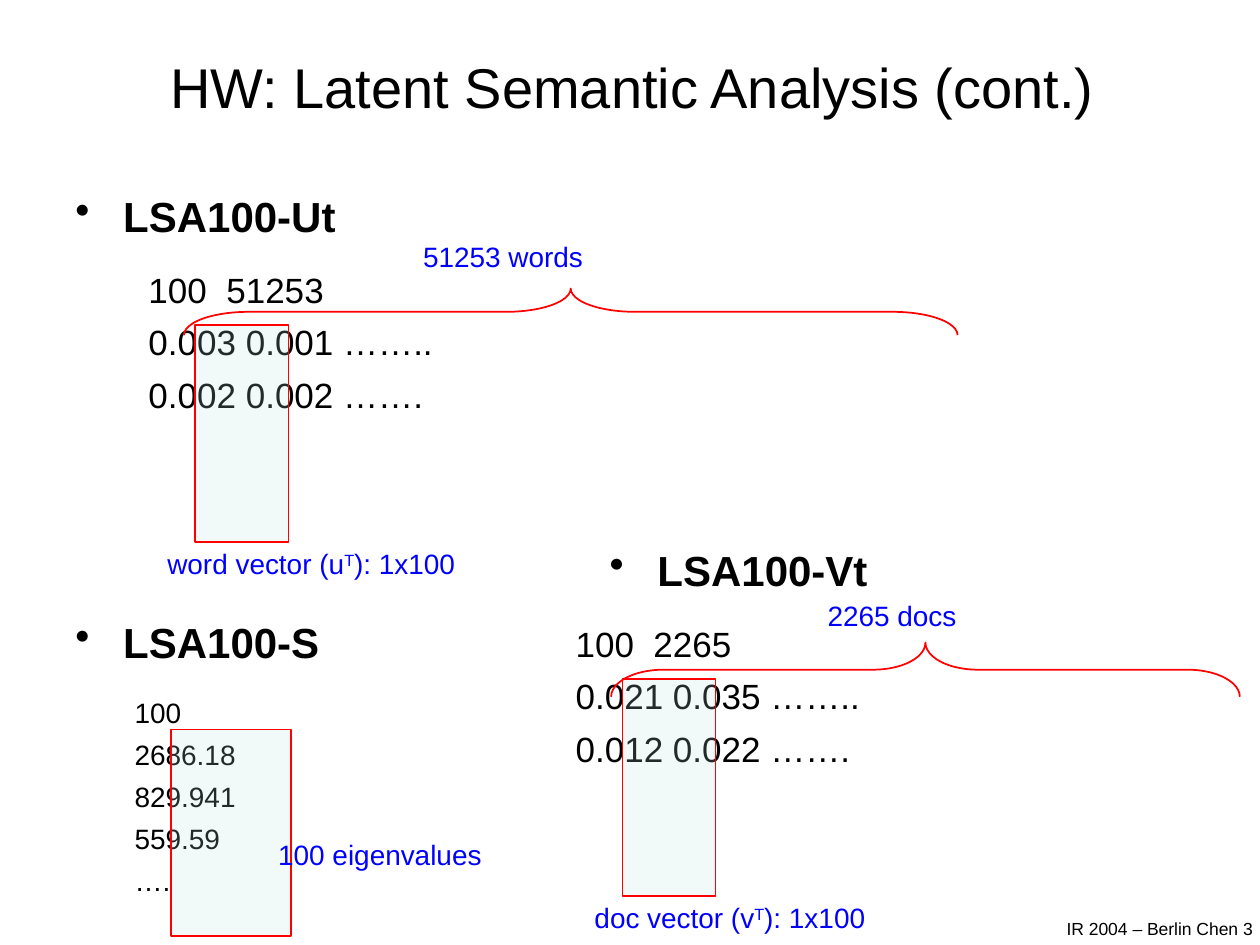
from lxml import etree
from pptx import Presentation
from pptx.dml.color import RGBColor
from pptx.enum.shapes import MSO_SHAPE
from pptx.enum.text import MSO_ANCHOR, PP_ALIGN
from pptx.oxml.ns import qn
from pptx.util import Inches, Pt

RECT, BRACE = MSO_SHAPE.RECTANGLE, MSO_SHAPE.RIGHT_BRACE
LEFT, CENTER, RIGHT = PP_ALIGN.LEFT, PP_ALIGN.CENTER, PP_ALIGN.RIGHT
TOP, MIDDLE = MSO_ANCHOR.TOP, MSO_ANCHOR.MIDDLE
BLACK, BLUE, RED, PALE = "000000", "0000FF", "FF0000", "BBE0E3"

# Content: a line is a string, or a list of (text, superscript) runs
TITLE = "HW: Latent Semantic Analysis (cont.)"
FOOTER = "IR 2004 – Berlin Chen 3"
MATRICES = [
    {"origin": (1.08, 2.08), "heading": "LSA100-Ut", "heading_at": (0.5, 1.46),
     "rows": ["100  51253", "0.003 0.001 ……..", "0.002 0.002 ……."],
     "vector": [("word vector (u", False), ("T", True), ("): 1x100", False)],
     "brace": (6.14, 0.37), "count": "51253 words", "count_at": (3.26, 1.85)},
    {"origin": (4.47, 4.89), "heading": "LSA100-Vt", "heading_at": (4.74, 4.27),
     "rows": ["100  2265", "0.021 0.035 ……..", "0.012 0.022 ……."],
     "vector": [("doc vector (v", False), ("T", True), ("): 1x100", False)],
     "brace": (4.99, 0.43), "count": "2265 docs", "count_at": (6.47, 4.7)},
]
EIGEN_HEADING = "LSA100-S"
EIGENVALUES = ["100", "2686.18", "829.941", "559.59", "…."]
EIGEN_LABEL = "100 eigenvalues"

# Text formats
HEADING = {"size": Pt(24), "bold": True}
ROWS = {"size": Pt(20)}
SMALL = {"size": Pt(16)}
LABEL = {"size": Pt(16), "color": BLUE}


def rgb(value):
    return RGBColor.from_string(value)


def add_text(s, lines, x, y, w, h, fmt, align=LEFT, anchor=TOP, gap=0, bullet=False):
    tf = s.shapes.add_textbox(*map(Inches, (x, y, w, h))).text_frame
    tf.word_wrap = True
    tf.vertical_anchor = anchor
    for i, line in enumerate(lines):
        p = tf.paragraphs[0] if i == 0 else tf.add_paragraph()
        p.alignment = align
        if i:
            p.space_before = Pt(gap)
        if bullet:
            pPr = p._p.get_or_add_pPr()
            pPr.set("marL", str(Inches(0.38)))
            pPr.set("indent", str(-Inches(0.38)))
            etree.SubElement(pPr, qn("a:buChar")).set("char", "•")
        for text, raised in [(line, False)] if isinstance(line, str) else line:
            r = p.add_run()
            r.text = text
            r.font.name = "Arial"
            r.font.color.rgb = rgb(fmt.get("color", BLACK))
            for name in fmt.keys() - {"color"}:
                setattr(r.font, name, fmt[name])
            if raised:
                r._r.get_or_add_rPr().set("baseline", "30000")


def add_outline(s, kind, x, y, w, h):
    sp = s.shapes.add_shape(kind, *map(Inches, (x, y, w, h)))
    sp.shadow.inherit = False
    sp.line.color.rgb = rgb(RED)
    sp.line.width = Pt(1)
    return sp


def add_highlight(s, x, y, w, h):
    sp = add_outline(s, RECT, x, y, w, h)
    sp.fill.solid()
    sp.fill.fore_color.rgb = rgb(PALE)
    color = sp._element.spPr.find(qn("a:solidFill"))[0]
    etree.SubElement(color, qn("a:alpha")).set("val", "19000")


def add_top_brace(s, x, y, length, depth):
    # A right brace turned to point up, around the centre of its span
    sp = add_outline(s, BRACE, x + (length - depth) / 2, y + (depth - length) / 2,
                     depth, length)
    sp.rotation = 270
    sp.fill.background()
    sp.adjustments[0] = length / 12 / depth


def add_heading(s, text, x, y):
    add_text(s, [text], x, y, 4, 0.5, HEADING, bullet=True)


def add_matrix(s, m):
    x, y = m["origin"]
    add_heading(s, m["heading"], *m["heading_at"])
    add_text(s, m["rows"], x, y, 3.21, 1.64, ROWS, gap=6)
    add_highlight(s, x + 0.47, y + 0.5, 0.74, 1.72)
    add_text(s, [m["vector"]], x + 0.15, y + 2.21, 3.2, 0.37, LABEL)
    add_top_brace(s, x + 0.38, y + 0.21, *m["brace"])
    add_text(s, [m["count"]], *m["count_at"], 2.2, 0.37, LABEL)


def main():
    prs = Presentation()
    prs.slide_width, prs.slide_height = Inches(10), Inches(7.5)
    s = prs.slides.add_slide(prs.slide_layouts[6])

    # Footer and title
    add_text(s, [FOOTER], 7.71, 7.24, 2.33, 0.26, {"size": Pt(10)}, align=RIGHT)
    add_text(s, [TITLE], 0.52, 0.17, 9, 1.02, {"size": Pt(32)}, CENTER, MIDDLE)

    # Word and document matrices
    for m in MATRICES:
        add_matrix(s, m)

    # Eigenvalues
    add_heading(s, EIGEN_HEADING, 0.5, 4.84)
    add_text(s, EIGENVALUES, 0.97, 5.47, 1.75, 1.66, SMALL, gap=4.75)
    add_highlight(s, 1.36, 5.79, 0.95, 1.64)
    add_text(s, [EIGEN_LABEL], 2.11, 6.6, 2.56, 0.37, LABEL)

    prs.save("out.pptx")


if __name__ == "__main__":
    main()
